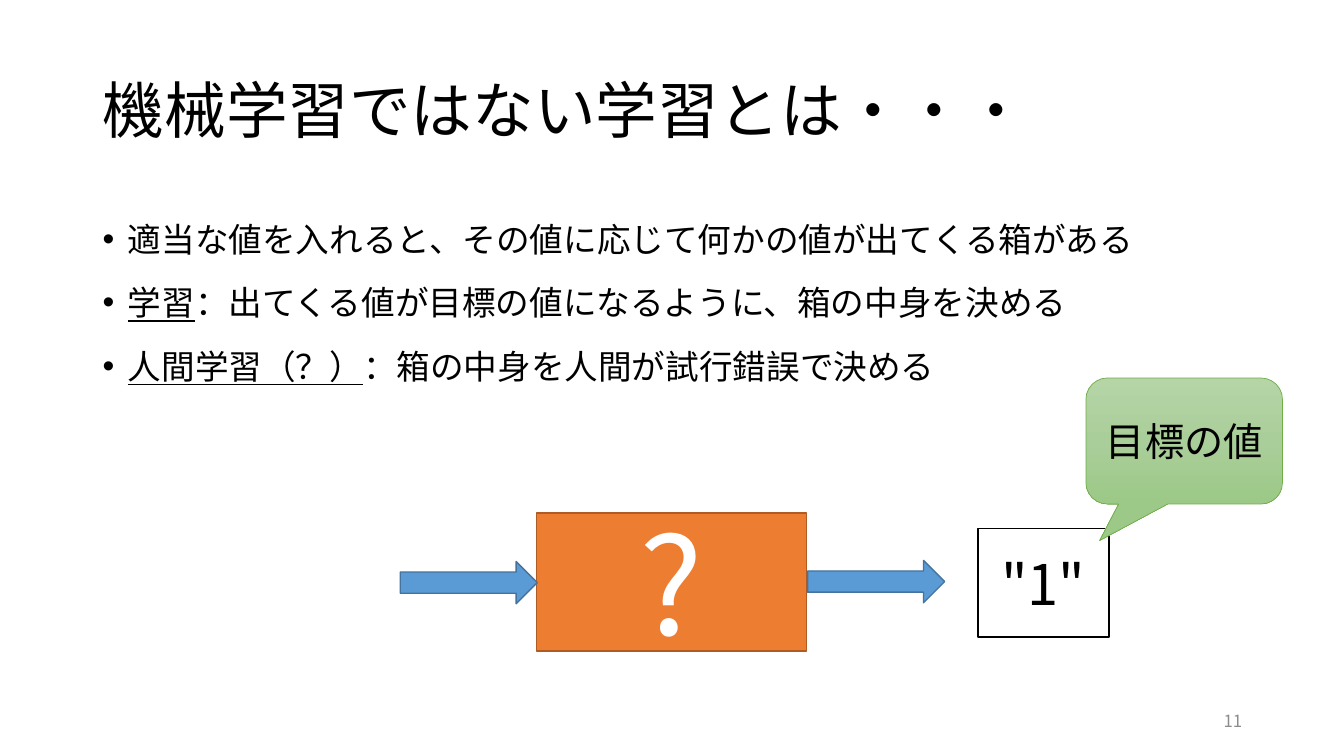
from copy import deepcopy
from dataclasses import dataclass

from lxml import etree
from pptx import Presentation
from pptx.dml.color import RGBColor
from pptx.enum.shapes import MSO_SHAPE
from pptx.enum.text import MSO_ANCHOR, PP_ALIGN
from pptx.oxml.ns import qn
from pptx.util import Inches, Pt

RECT = MSO_SHAPE.RECTANGLE
ARROW = MSO_SHAPE.RIGHT_ARROW
CALLOUT = MSO_SHAPE.ROUNDED_RECTANGULAR_CALLOUT
LEFT, CENTER, RIGHT = PP_ALIGN.LEFT, PP_ALIGN.CENTER, PP_ALIGN.RIGHT
MIDDLE = MSO_ANCHOR.MIDDLE

FONT = "Noto Sans CJK JP"
COLORS = {
    "black": "000000", "white": "FFFFFF", "gray": "8C8C8C",
    "orange": "ED7D31", "orange_edge": "AF5C24",
    "blue": "5B9BD5", "blue_edge": "43739E",
    "green_top": "B5D5A7", "green_mid": "AACE9A", "green_bottom": "9CC987",
    "green_edge": "70AD47",
}


@dataclass
class Point:
    term: str
    explanation: str


@dataclass
class Part:
    kind: int
    box: tuple[float, float, float, float]
    fill: str
    edge: str
    text: str = ""
    size: int = 0
    ink: str = "black"
    edge_width: float = 1


POINTS = [
    Point("", "適当な値を入れると、その値に応じて何かの値が出てくる箱がある"),
    Point("学習", "：出てくる値が目標の値になるように、箱の中身を決める"),
    Point("人間学習（？）", "：箱の中身を人間が試行錯誤で決める"),
]
DIAGRAM = [
    Part(RECT, (5.32, 5.09, 2.68, 1.37), "orange", "orange_edge", "?", 96, "white"),
    Part(ARROW, (3.97, 5.57, 1.36, 0.42), "blue", "blue_edge"),
    Part(ARROW, (8.01, 5.56, 1.36, 0.42), "blue", "blue_edge"),
    Part(RECT, (9.7, 5.24, 1.3, 1.08), "white", "black", '"1"', 40),
]
TARGET = Part(CALLOUT, (10.77, 3.75, 1.95, 1.25), "green_top", "green_edge",
              "目標の値", 28, edge_width=0.5)


def rgb(name: str) -> RGBColor:
    return RGBColor.from_string(COLORS[name])


def style(paragraph, size: int, color: str, align=LEFT) -> None:
    paragraph.alignment = align
    font = paragraph.font
    font.size, font.name = Pt(size), FONT
    font.color.rgb = rgb(color)
    defaults = paragraph._p.pPr.find(qn("a:defRPr"))
    etree.SubElement(defaults, qn("a:ea"), typeface=FONT)


def add_bullet(paragraph) -> None:
    props = paragraph._p.get_or_add_pPr()
    props.set("marL", str(Inches(0.25)))
    props.set("indent", str(Inches(-0.25)))
    etree.SubElement(props, qn("a:buFont"), typeface="Arial")
    etree.SubElement(props, qn("a:buChar"), char="•")


def add_part(slide, part: Part):
    shape = slide.shapes.add_shape(part.kind, *map(Inches, part.box))
    shape.shadow.inherit = False
    shape.fill.solid()
    shape.fill.fore_color.rgb = rgb(part.fill)
    shape.line.color.rgb = rgb(part.edge)
    shape.line.width = Pt(part.edge_width)
    if part.text:
        frame = shape.text_frame
        frame.vertical_anchor = MIDDLE
        frame.text = part.text
        style(frame.paragraphs[0], part.size, part.ink, CENTER)
    return shape


def add_points(slide, points: list[Point]) -> None:
    box = slide.shapes.add_textbox(*map(Inches, (0.92, 2, 11.5, 4.76)))
    frame = box.text_frame
    frame.word_wrap = True
    for index, point in enumerate(points):
        paragraph = frame.add_paragraph() if index else frame.paragraphs[0]
        add_bullet(paragraph)
        paragraph.line_spacing = 1.3
        paragraph.space_before = Pt(8 if index else 0)
        style(paragraph, 24, "black")
        if point.term:
            term = paragraph.add_run()
            term.text = point.term
            term.font.underline = True
        paragraph.add_run().text = point.explanation


def shade_green(callout) -> None:
    fill = callout.fill
    fill.gradient()
    fill.gradient_angle = 270
    stop_list = callout._element.spPr.find(".//" + qn("a:gsLst"))
    stop_list.insert(1, deepcopy(stop_list[0]))
    shades = ("green_top", "green_mid", "green_bottom")
    for index, (stop, shade) in enumerate(zip(fill.gradient_stops, shades)):
        stop.position = index / 2
        stop.color.rgb = rgb(shade)


def main() -> None:
    prs = Presentation()
    prs.slide_width, prs.slide_height = Inches(13.33), Inches(7.5)
    slide = prs.slides.add_slide(prs.slide_layouts[5])

    # Title
    title = slide.shapes.title
    title.left, title.top, title.width, title.height = map(
        Inches, (0.92, 0.4, 11.5, 1.45))
    title.text_frame.text = "機械学習ではない学習とは・・・"
    title.text_frame.vertical_anchor = MIDDLE
    heading = title.text_frame.paragraphs[0]
    heading.line_spacing = 0.9
    style(heading, 44, "black")

    # Bulleted points
    add_points(slide, POINTS)

    # Slide number
    number = slide.shapes.add_textbox(*map(Inches, (9.42, 6.95, 3, 0.4))).text_frame
    number.word_wrap = True
    number.vertical_anchor = MIDDLE
    number.text = "11"
    style(number.paragraphs[0], 12, "gray", RIGHT)

    # Box with its input, output and result
    for part in DIAGRAM:
        add_part(slide, part)

    # Callout naming the target value
    callout = add_part(slide, TARGET)
    for index, value in enumerate((-0.43, 0.79, 0.17)):
        callout.adjustments[index] = value
    shade_green(callout)

    prs.save("out.pptx")


if __name__ == "__main__":
    main()
